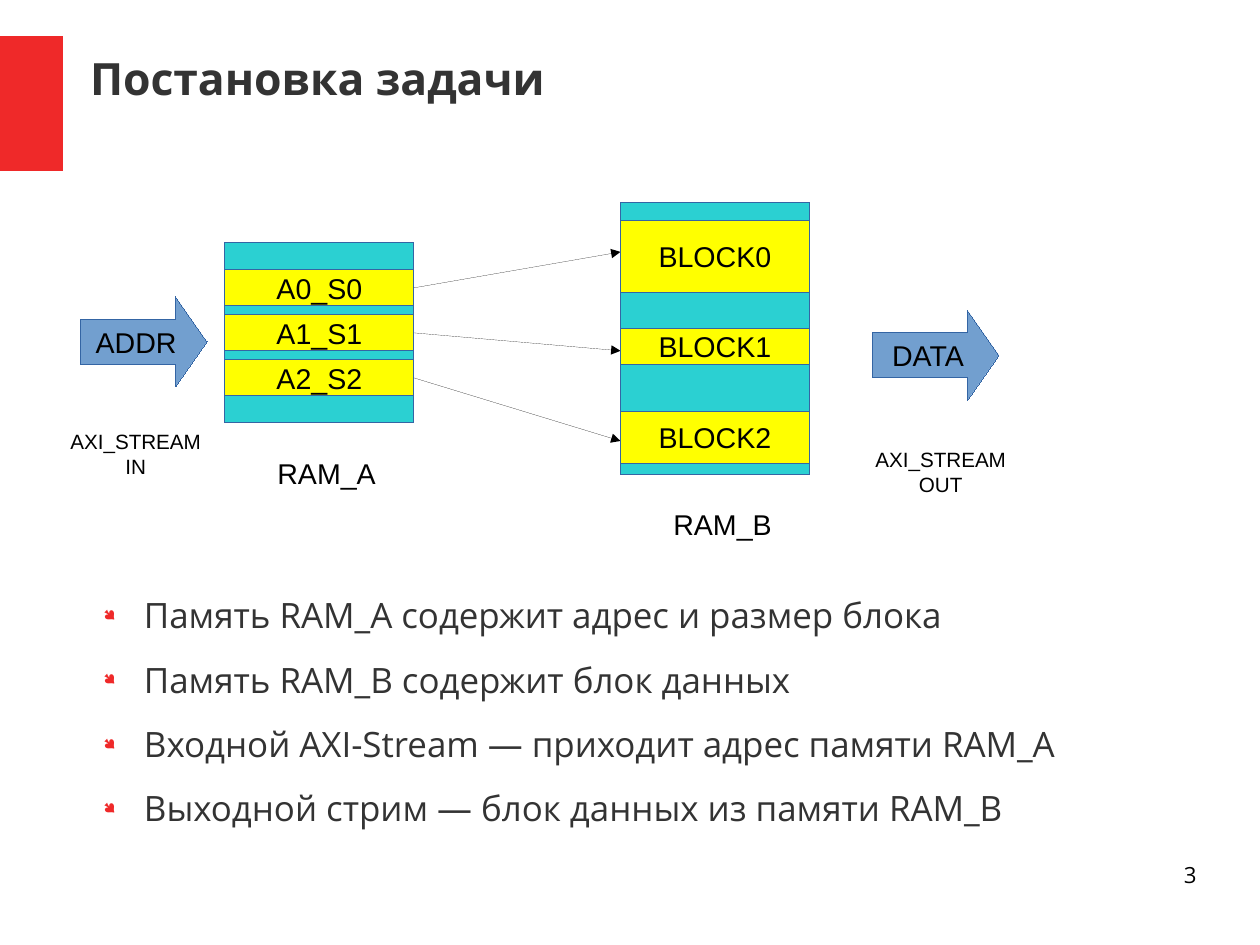
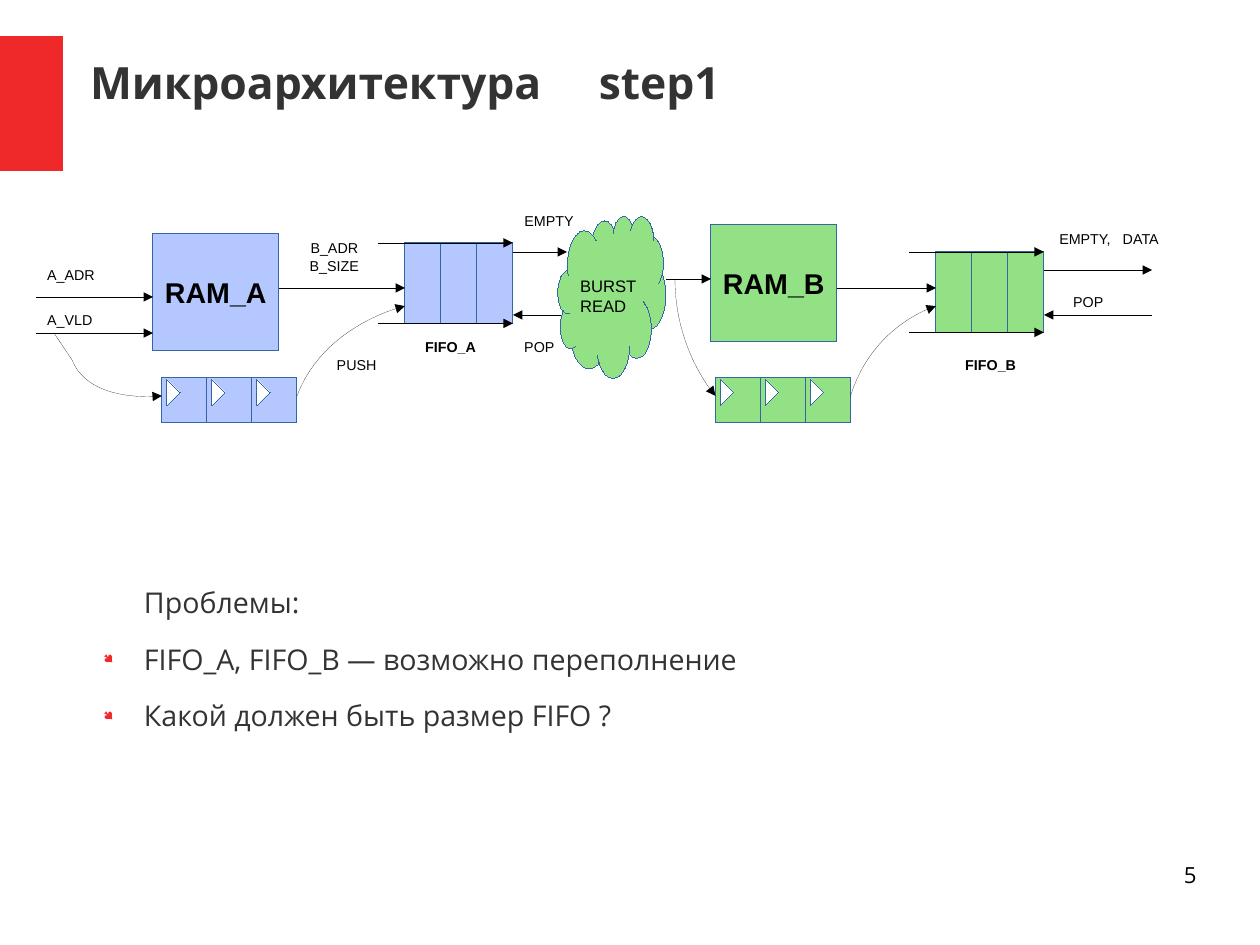
from dataclasses import dataclass

from lxml.etree import SubElement
from pptx import Presentation
from pptx.dml.color import RGBColor
from pptx.enum.shapes import MSO_CONNECTOR, MSO_SHAPE
from pptx.enum.text import MSO_ANCHOR, MSO_AUTO_SIZE, PP_ALIGN
from pptx.oxml.ns import qn
from pptx.util import Pt

COLOURS = {
    "red": "EF2929", "heading": "333333", "black": "000000", "white": "FFFFFF",
    "outline": "3465A4", "cyan": "2BD0D2", "yellow": "FFFF00",
    "arrow": "729FCF", "blue": "B4C8FF", "green": "92E285",
}
HEADING_FONT, DIAGRAM_FONT = "Open Sans", "Arial"
HAIRLINE = Pt(0.01)
MARGIN = 56.7
BODY_WIDTH = 680.4
STAGE_WIDTH = 28.35
FIFO_CELL, FIFO_HEIGHT, FIFO_LEAD = 22.68, 50.7, 17


@dataclass
class Box:
    left: float
    top: float
    width: float
    height: float
    fill: str
    text: str = ""
    bold: bool = False
    kind: MSO_SHAPE = MSO_SHAPE.RECTANGLE


@dataclass
class Label:
    text: str
    left: float
    top: float
    width: float
    height: float = 17.3
    size: float = 9
    bold: bool = False
    align: PP_ALIGN = PP_ALIGN.CENTER
    tab: float | None = None


@dataclass
class Arrow:
    x1: float
    y1: float
    x2: float
    y2: float


@dataclass
class Curve:
    """Cubic arc, optionally reached by a straight lead from another point."""
    controls: list[tuple[float, float]]
    lead: tuple[float, float] | None = None


@dataclass
class Item:
    text: str
    bullet: bool = True


def colour(name: str) -> RGBColor:
    return RGBColor.from_string(COLOURS[name])


def format_text(frame, size: float, font: str = DIAGRAM_FONT, ink: str = "black",
                bold: bool = False, align: PP_ALIGN = PP_ALIGN.CENTER) -> None:
    for para in frame.paragraphs:
        para.alignment = align
        for span in para.runs:
            span.font.size = Pt(size)
            span.font.name = font
            span.font.bold = bold
            span.font.color.rgb = colour(ink)


def clear_margins(frame) -> None:
    frame.margin_left = frame.margin_right = frame.margin_top = frame.margin_bottom = 0
    frame.word_wrap = True


def add_tab_stop(frame, position: float) -> None:
    tabs = SubElement(frame.paragraphs[0]._p.get_or_add_pPr(), qn("a:tabLst"))
    SubElement(tabs, qn("a:tab"), pos=str(Pt(position)), algn="l")


def draw_box(page, box: Box):
    shape = page.shapes.add_shape(box.kind, Pt(box.left), Pt(box.top),
                                  Pt(box.width), Pt(box.height))
    shape.shadow.inherit = False
    shape.fill.solid()
    shape.fill.fore_color.rgb = colour(box.fill)
    shape.line.color.rgb = colour("outline")
    shape.line.width = HAIRLINE
    if box.text:
        frame = shape.text_frame
        frame.text = box.text
        frame.word_wrap = False
        frame.vertical_anchor = MSO_ANCHOR.MIDDLE
        format_text(frame, 18, bold=box.bold)
    return shape


def draw_label(page, label: Label) -> None:
    frame = page.shapes.add_textbox(Pt(label.left), Pt(label.top),
                                    Pt(label.width), Pt(label.height)).text_frame
    frame.text = label.text
    frame.word_wrap = False
    frame.auto_size = MSO_AUTO_SIZE.SHAPE_TO_FIT_TEXT
    frame.margin_right = Pt(5)
    if label.align == PP_ALIGN.CENTER:
        frame.margin_left = Pt(5)
    format_text(frame, label.size, bold=label.bold, align=label.align)
    if label.tab:
        add_tab_stop(frame, label.tab)


def finish_arrow(shape) -> None:
    """Hairline with an arrowhead at its end and no shadow."""
    shape.line.color.rgb = colour("black")
    shape.line.width = HAIRLINE
    properties = shape.element.spPr
    SubElement(properties.find(qn("a:ln")), qn("a:tailEnd"), type="triangle")
    SubElement(properties, qn("a:effectLst"))


def draw_arrow(page, arrow: Arrow) -> None:
    finish_arrow(page.shapes.add_connector(
        MSO_CONNECTOR.STRAIGHT, Pt(arrow.x1), Pt(arrow.y1), Pt(arrow.x2), Pt(arrow.y2)))


def draw_curve(page, curve: Curve, steps: int = 24) -> None:
    points = [curve.lead] if curve.lead else []
    for step in range(steps + 1):
        t = step / steps
        weights = ((1 - t) ** 3, 3 * t * (1 - t) ** 2, 3 * t * t * (1 - t), t ** 3)
        points.append(tuple(sum(weight * point[axis] for weight, point
                                in zip(weights, curve.controls)) for axis in (0, 1)))
    start, *rest = [(Pt(x), Pt(y)) for x, y in points]
    builder = page.shapes.build_freeform(*start)
    builder.add_line_segments(rest, close=False)
    shape = builder.convert_to_shape()
    shape.fill.background()
    finish_arrow(shape)


def draw_stages(page, left: float, top: float, fill: str) -> None:
    """Three-stage delay register with a clock mark in each stage."""
    mark = 11.6
    for index in range(3):
        x = left + index * STAGE_WIDTH
        draw_box(page, Box(x, top, STAGE_WIDTH, STAGE_WIDTH, fill))
        clock = draw_box(page, Box(x + 3.2 - mark / 2, top + 9 - mark / 2, mark, mark,
                                   "white", kind=MSO_SHAPE.RIGHT_TRIANGLE))
        clock.rotation = 225


def draw_fifo(page, left: float, top: float, fill: str) -> None:
    for index in range(3):
        draw_box(page, Box(left + index * FIFO_CELL, top, FIFO_CELL, FIFO_HEIGHT, fill))
    for y in (top, top + FIFO_HEIGHT):
        draw_arrow(page, Arrow(left - FIFO_LEAD, y, left + 3 * FIFO_CELL, y))


def draw_body(page, items: list[Item], top: float, height: float, size: float) -> None:
    frame = page.shapes.add_textbox(Pt(MARGIN), Pt(top), Pt(BODY_WIDTH), Pt(height)).text_frame
    clear_margins(frame)
    frame.text = "\n".join(item.text for item in items)
    format_text(frame, size, HEADING_FONT, "heading", align=PP_ALIGN.LEFT)
    for para, item in zip(frame.paragraphs, items):
        para.space_after = Pt(14.1)
        properties = para._p.get_or_add_pPr()
        properties.set("marL", str(Pt(34)))
        properties.set("indent", str(Pt(-25.5) if item.bullet else 0))
        if item.bullet:
            tint = SubElement(properties, qn("a:buClr"))
            SubElement(tint, qn("a:srgbClr"), val=COLOURS["red"])
            SubElement(properties, qn("a:buSzPct"), val="45000")
            SubElement(properties, qn("a:buFont"), typeface="Wingdings", charset="2")
            SubElement(properties, qn("a:buChar"), char="●")


def add_page(deck, heading: str, number: int, title_height: float):
    page = deck.slides.add_slide(deck.slide_layouts[5])
    title = page.shapes.title
    title.left, title.top = Pt(MARGIN), Pt(24.1)
    title.width, title.height = Pt(697), Pt(title_height)
    frame = title.text_frame
    frame.text = heading
    clear_margins(frame)
    frame.auto_size = MSO_AUTO_SIZE.NONE
    frame.vertical_anchor = MSO_ANCHOR.MIDDLE
    format_text(frame, 28, HEADING_FONT, "heading", True, PP_ALIGN.LEFT)
    footer = page.shapes.add_textbox(Pt(568.8), Pt(542.5), Pt(185), Pt(41)).text_frame
    clear_margins(footer)
    footer.text = str(number)
    format_text(footer, 14, HEADING_FONT, align=PP_ALIGN.RIGHT)
    return page


def add_layout_band(deck, page) -> None:
    """Draw the red band and move it to the layout that both pages use."""
    band = draw_box(page, Box(0, 22.7, 39.7, 85, "red"))
    band.line.fill.background()
    deck.slide_layouts[5].shapes.element.insert(2, band.element)


def build_task(deck) -> None:
    page = add_page(deck, "Постановка задачи", 3, 49.7)
    add_layout_band(deck, page)
    draw_body(page, [
        Item("Память RAM_A содержит адрес и размер блока"),
        Item("Память RAM_B содержит блок данных"),
        Item("Входной AXI-Stream — приходит адрес памяти RAM_A"),
        Item("Выходной стрим — блок данных из памяти RAM_B"),
    ], 374.2, 141, 22)
    ram_a, ram_b, width = 141.7, 390.9, 119
    draw_box(page, Box(ram_a, 153, width, 113.4, "cyan"))
    draw_box(page, Box(ram_b, 127.6, width, 171.4, "cyan"))
    for index, target in enumerate((158.7, 221, 277.8)):
        top = 170 + index * 28.35
        draw_box(page, Box(ram_a, top, width, 22.7, "yellow", f"A{index}_S{index}"))
        draw_arrow(page, Arrow(ram_a + width, top + 11.35, ram_b, target))
    for index, (top, height) in enumerate(((138.9, 45.4), (206.9, 22.7), (259.2, 32.6))):
        draw_box(page, Box(ram_b, top, width, height, "yellow", f"BLOCK{index}"))
    for left, top, text in ((51, 187, "ADDR"), (549.9, 195.6, "DATA")):
        arrow = draw_box(page, Box(left, top, 79.4, 56.7, "arrow", text,
                                   kind=MSO_SHAPE.RIGHT_ARROW))
        arrow.adjustments[0], arrow.adjustments[1] = 0.5, 0.35
    for label in (
        Label("RAM_A", 167.6, 283.7, 76.3, 27.4, 18),
        Label("RAM_B", 417, 316, 76.3, 27.4, 18),
        Label("AXI_STREAM\nIN", 37.2, 266.5, 96.5, 36, 13),
        Label("AXI_STREAM\nOUT", 544.3, 277.9, 96.5, 36, 13),
    ):
        draw_label(page, label)


def build_step(deck) -> None:
    page = add_page(deck, "Микроархитектура\tstep1", 5, 55.4)
    add_tab_stop(page.shapes.title.text_frame, 320.5)
    draw_body(page, [
        Item("Проблемы:", bullet=False),
        Item("FIFO_A, FIFO_B — возможно переполнение"),
        Item("Какой должен быть размер FIFO ?"),
    ], 368.5, 78.5, 18)

    draw_box(page, Box(96.2, 147.3, 79.4, 73.7, "blue", "RAM_A", True))
    draw_box(page, Box(447.7, 141.6, 79.4, 73.7, "green", "RAM_B", True))
    draw_stages(page, 102, 238.1, "blue")
    draw_stages(page, 450.7, 238.1, "green")
    draw_fifo(page, 255, 153, "blue")
    draw_fifo(page, 589.5, 158.7, "green")

    for arrow in (
        Arrow(22.7, 187.1, 96.4, 187.1), Arrow(22.7, 209.8, 96.4, 209.8),
        Arrow(175.8, 181.4, 255.1, 181.4), Arrow(323.2, 158.7, 357.2, 158.7),
        Arrow(362.9, 198.4, 323.2, 198.4), Arrow(419.6, 175.7, 447.9, 175.7),
        Arrow(527.3, 181.4, 589.6, 181.4), Arrow(657.6, 170.1, 725.7, 170.1),
        Arrow(725.7, 198.4, 657.6, 198.4),
    ):
        draw_arrow(page, arrow)
    for curve in (
        Curve([(45.4, 226.8), (56.7, 255.1), (102, 249.4), (102, 249.4)], (34, 209.8)),
        Curve([(187.1, 249.4), (204.1, 204.1), (255.1, 192.8), (255.1, 192.8)]),
        Curve([(425.2, 175.7), (425.2, 221.1), (450.7, 249.4), (450.7, 249.4)]),
        Curve([(535.8, 249.4), (549.9, 204.1), (589.6, 192.8), (589.6, 192.8)]),
    ):
        draw_curve(page, curve)
    draw_box(page, Box(351.4, 136, 68, 102, "green", kind=MSO_SHAPE.CLOUD))

    for label in (
        Label("A_ADR", 22.7, 164.4, 43.9), Label("A_VLD", 22.7, 192.8, 42.5),
        Label("B_ADR\nB_SIZE", 187.9, 147.4, 45.4, 27.4),
        Label("PUSH", 205.2, 221.1, 38.9),
        Label("BURST\nREAD", 358.4, 170.1, 49.7, 30.2, 10.5, align=PP_ALIGN.LEFT),
        Label("EMPTY", 323.2, 130.4, 45.4), Label("POP", 323.2, 209.8, 33.1),
        Label("EMPTY,\tDATA", 660.2, 141.7, 77, align=PP_ALIGN.LEFT, tab=40),
        Label("POP", 669, 181.4, 33.1),
        Label("FIFO_A", 260.8, 209.8, 46.1, bold=True),
        Label("FIFO_B", 601, 221.1, 46.1, bold=True),
    ):
        draw_label(page, label)


def main() -> None:
    deck = Presentation()
    deck.slide_width, deck.slide_height = Pt(793.7), Pt(595.3)
    build_task(deck)
    build_step(deck)
    deck.save("out.pptx")


if __name__ == "__main__":
    main()
